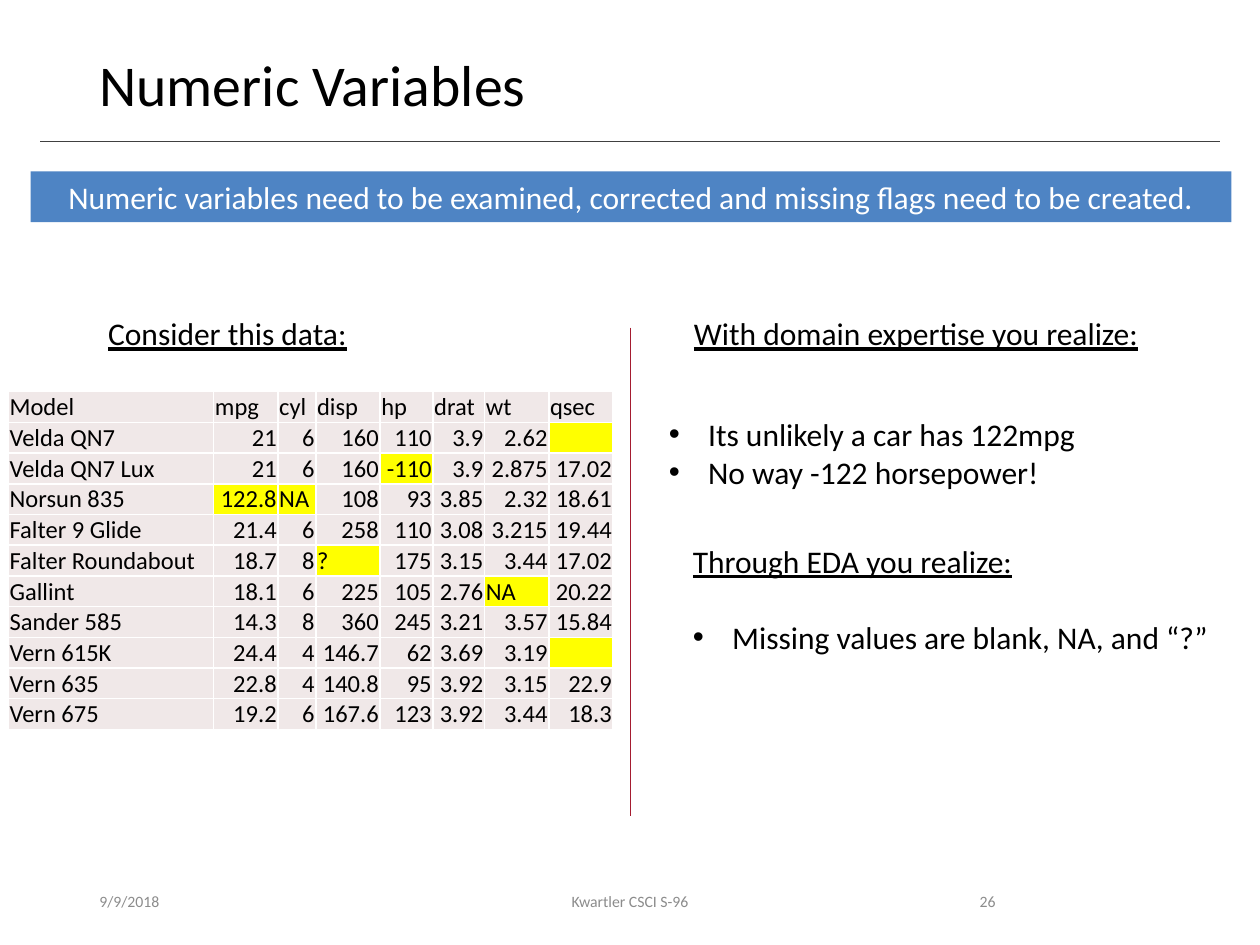
import pptx
import pptx.dml.color
import pptx.enum.shapes
import pptx.enum.text
import pptx.oxml
import pptx.oxml.ns
import pptx.util
from lxml import etree

Pt = pptx.util.Pt
RGBColor = pptx.dml.color.RGBColor
ALIGN = pptx.enum.text.PP_ALIGN
ANCHOR = pptx.enum.text.MSO_ANCHOR
qn = pptx.oxml.ns.qn

BLACK = RGBColor(0x00, 0x00, 0x00)
WHITE = RGBColor(0xFF, 0xFF, 0xFF)
GRAY = RGBColor(0x8C, 0x8C, 0x8C)
DARK_GRAY = RGBColor(0x40, 0x40, 0x40)
CRIMSON = RGBColor(0xA5, 0x1C, 0x30)
BLUE = RGBColor(0x4E, 0x84, 0xC4)
CELL_TINT = RGBColor(0xF0, 0xE8, 0xE8)
YELLOW = RGBColor(0xFF, 0xFF, 0x00)
FONT = "Calibri"

# Content
TITLE = "Numeric Variables"
BANNER = ("Numeric variables need to be examined, corrected and "
          "missing flags need to be created.")
# text, left, width, alignment
FOOTERS = [
    ("9/9/2018", 49.68, 162, ALIGN.LEFT),
    ("Kwartler CSCI S-96", 238.32, 243.36, ALIGN.CENTER),
    ("26", 508.32, 67.68, ALIGN.RIGHT),
]
# left, top, width, height, [(text, style)]
NOTES = [
    (54.72, 176, 152.64, 28.8, [("Consider this data:", "heading")]),
    (389.52, 176, 271.44, 28.8,
     [("With domain expertise you realize:", "heading")]),
    (375.12, 233.5, 249.12, 51.12,
     [("Its unlikely a car has 122mpg", "bullet"),
      ("No way -122 horsepower!", "bullet")]),
    (388.8, 306, 319.68, 94.32,
     [("Through EDA you realize:", "heading"),
      ("Missing values are blank, NA, and “?”", "spaced bullet")]),
]
CARS = [
    ["Model", "mpg", "cyl", "disp", "hp", "drat", "wt", "qsec"],
    ["Velda QN7", "21", "6", "160", "110", "3.9", "2.62", ""],
    ["Velda QN7 Lux", "21", "6", "160", "-110", "3.9", "2.875", "17.02"],
    ["Norsun 835", "122.8", "NA", "108", "93", "3.85", "2.32", "18.61"],
    ["Falter 9 Glide", "21.4", "6", "258", "110", "3.08", "3.215", "19.44"],
    ["Falter Roundabout", "18.7", "8", "?", "175", "3.15", "3.44", "17.02"],
    ["Gallint", "18.1", "6", "225", "105", "2.76", "NA", "20.22"],
    ["Sander 585", "14.3", "8", "360", "245", "3.21", "3.57", "15.84"],
    ["Vern 615K", "24.4", "4", "146.7", "62", "3.69", "3.19", ""],
    ["Vern 635", "22.8", "4", "140.8", "95", "3.92", "3.15", "22.9"],
    ["Vern 675", "19.2", "6", "167.6", "123", "3.92", "3.44", "18.3"],
]
SUSPECT = {"", "NA", "?", "-110", "122.8"}
COLUMN_WIDTHS = [117.36, 36.72, 21.6, 36.72, 30.24, 29.52, 36.72, 36.72]
ROW_HEIGHT = 17.55
CELL_SIZE = 14


def write(paragraph, text, size, color, align=ALIGN.LEFT):
    paragraph.text = text
    paragraph.alignment = align
    for run in paragraph.runs:
        run.font.name = FONT
        run.font.size = Pt(size)
        run.font.color.rgb = color


def add_text(left, top, width, height, wrap=True, anchor=ANCHOR.TOP):
    frame = slide.shapes.add_textbox(
        Pt(left), Pt(top), Pt(width), Pt(height)).text_frame
    frame.word_wrap = wrap
    frame.vertical_anchor = anchor
    return frame


def add_line(x1, y1, x2, y2, color):
    line = slide.shapes.add_connector(
        pptx.enum.shapes.MSO_CONNECTOR.STRAIGHT, Pt(x1), Pt(y1), Pt(x2), Pt(y2))
    line.line.color.rgb = color
    line.line.width = Pt(0.5)
    etree.SubElement(line._element.spPr, qn("a:effectLst"))


def add_bullet(paragraph):
    properties = paragraph._p.get_or_add_pPr()
    properties.set("marL", str(Pt(22.5)))
    properties.set("indent", str(-Pt(22.5)))
    etree.SubElement(properties, qn("a:buFont")).set("typeface", "Arial")
    etree.SubElement(properties, qn("a:buChar")).set("char", "•")


def add_borders(cell):
    properties = cell._tc.get_or_add_tcPr()
    for position, side in enumerate(("lnL", "lnR", "lnT", "lnB")):
        border = etree.Element(qn("a:" + side), w=str(Pt(1)))
        fill = etree.SubElement(border, qn("a:solidFill"))
        etree.SubElement(fill, qn("a:srgbClr")).set("val", str(WHITE))
        properties.insert(position, border)


presentation = pptx.Presentation()
presentation.slide_width, presentation.slide_height = Pt(720), Pt(540)
slide = presentation.slides.add_slide(presentation.slide_layouts[6])

# Title and rule
title = add_text(49.68, 28.8, 620.64, 46.8).paragraphs[0]
write(title, TITLE, 33, BLACK)
title.line_spacing = 0.9
add_line(23.04, 80.64, 696.96, 80.64, DARK_GRAY)

# Footer
for text, left, width, align in FOOTERS:
    footer = add_text(left, 500.4, width, 28.8, anchor=ANCHOR.MIDDLE)
    write(footer.paragraphs[0], text, 9, GRAY, align)

# Banner
banner = slide.shapes.add_shape(
    pptx.enum.shapes.MSO_SHAPE.RECTANGLE, Pt(17.5), Pt(98), Pt(686.16), Pt(29))
banner.shadow.inherit = False
banner.fill.solid()
banner.fill.fore_color.rgb = BLUE
banner.line.fill.background()
banner.text_frame.word_wrap = True
banner.text_frame.vertical_anchor = ANCHOR.TOP
write(banner.text_frame.paragraphs[0], BANNER, 18, WHITE, ALIGN.CENTER)

# Divider between data and findings
add_line(360, 187.2, 360, 466.56, CRIMSON)

# Car data, suspect values highlighted
table = slide.shapes.add_table(
    len(CARS), len(COLUMN_WIDTHS), Pt(4.8), Pt(223.8),
    Pt(sum(COLUMN_WIDTHS)), Pt(ROW_HEIGHT * len(CARS))).table
table.first_row = False
table.horz_banding = False
for column, width in zip(table.columns, COLUMN_WIDTHS):
    column.width = Pt(width)
for r, car in enumerate(CARS):
    table.rows[r].height = Pt(ROW_HEIGHT)
    for c, value in enumerate(car):
        cell = table.cell(r, c)
        cell.margin_left = cell.margin_right = Pt(0.72)
        cell.margin_top, cell.margin_bottom = Pt(0.45), 0
        cell.vertical_anchor = ANCHOR.BOTTOM if c else ANCHOR.MIDDLE
        cell.fill.solid()
        cell.fill.fore_color.rgb = YELLOW if value in SUSPECT else CELL_TINT
        is_number = r > 0 and c > 0 and value not in ("NA", "?")
        paragraph = cell.text_frame.paragraphs[0]
        write(paragraph, value, CELL_SIZE, BLACK,
              ALIGN.RIGHT if is_number else ALIGN.LEFT)
        if not value:
            etree.SubElement(paragraph._p, qn("a:endParaRPr")).set(
                "sz", str(CELL_SIZE * 100))
        add_borders(cell)

# Headings and findings
for left, top, width, height, lines in NOTES:
    frame = add_text(left, top, width, height, wrap=False)
    for i, (text, style) in enumerate(lines):
        paragraph = frame.add_paragraph() if i else frame.paragraphs[0]
        write(paragraph, text, 18, BLACK)
        if style == "heading":
            paragraph.runs[0].font.underline = True
        else:
            if style == "spaced bullet":
                paragraph.space_before = Pt(22)
            add_bullet(paragraph)

presentation.save("out.pptx")
